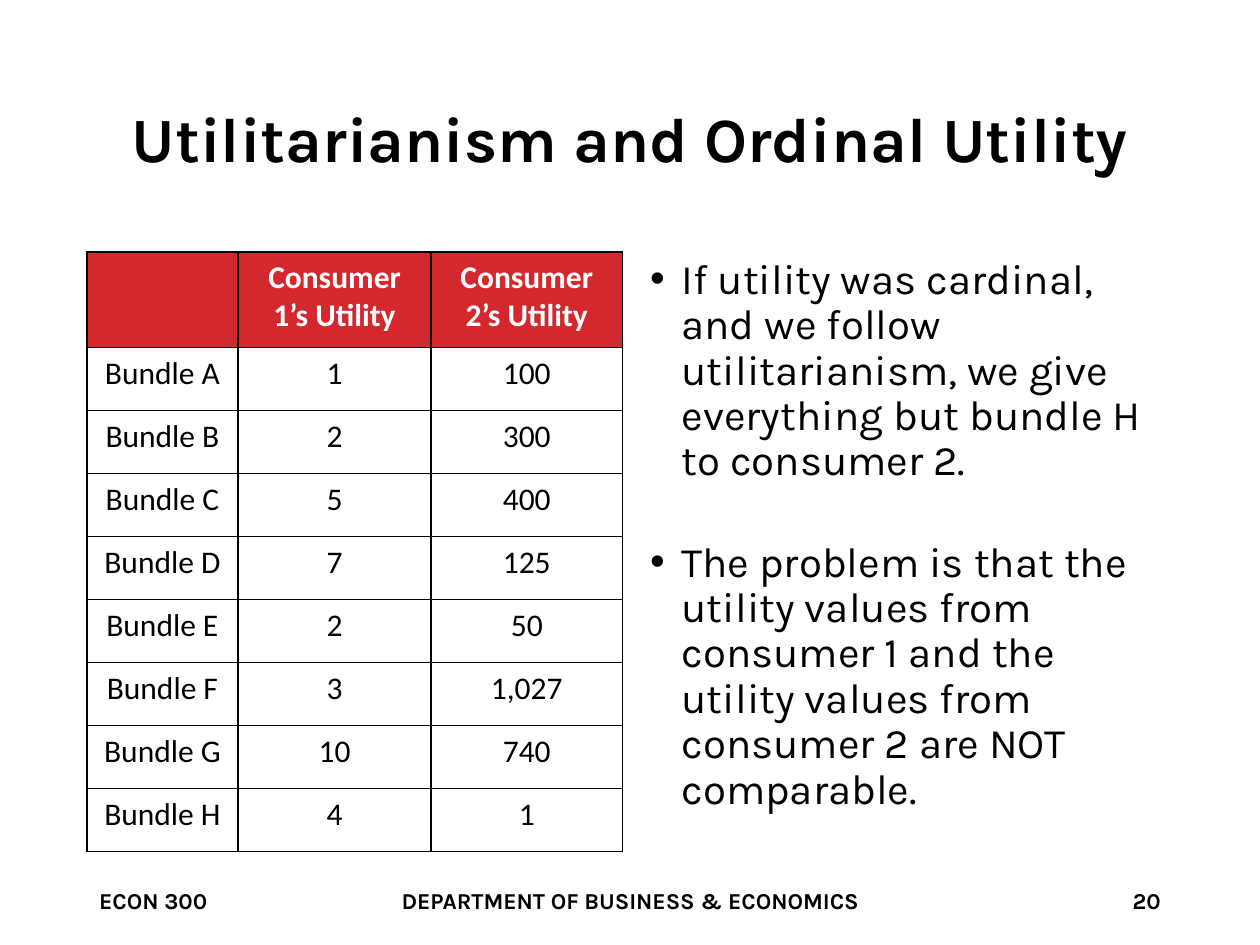
from pptx import Presentation
from pptx.dml.color import RGBColor
from pptx.enum.text import MSO_ANCHOR, MSO_AUTO_SIZE, PP_ALIGN
from pptx.oxml import parse_xml
from pptx.oxml.ns import nsdecls
from pptx.util import Cm, Pt

BLACK = RGBColor(0x00, 0x00, 0x00)
WHITE = RGBColor(0xFF, 0xFF, 0xFF)
RED = RGBColor(0xD4, 0x28, 0x2F)
LEFT, CENTER, RIGHT = PP_ALIGN.LEFT, PP_ALIGN.CENTER, PP_ALIGN.RIGHT
MIDDLE, TOP = MSO_ANCHOR.MIDDLE, MSO_ANCHOR.TOP
NO_AUTOFIT = MSO_AUTO_SIZE.NONE

MARGIN = Cm(1.75)
CONTENT_TOP = Cm(5.08)
COLUMN_WIDTH = Cm(10.8)
CONTENT_HEIGHT = Cm(12.09)


def format_paragraph(paragraph, font_name, size, color=BLACK, bold=False, alignment=LEFT):
    paragraph.alignment = alignment
    for run in paragraph.runs:
        run.font.name = font_name
        run.font.size = Pt(size)
        run.font.bold = bold
        run.font.color.rgb = color


def add_borders(cell):
    """Draw a 1 pt black line on all four sides of the cell."""
    properties = cell._tc.get_or_add_tcPr()
    for side in ("lnL", "lnR", "lnT", "lnB"):
        properties.append(parse_xml(
            f'<a:{side} {nsdecls("a")} w="{Pt(1)}"><a:solidFill>'
            f'<a:srgbClr val="{BLACK}"/></a:solidFill></a:{side}>'))


presentation = Presentation()
presentation.slide_width = Cm(25.4)
presentation.slide_height = Cm(19.05)
slide = presentation.slides.add_slide(presentation.slide_layouts[1])

# Title
title = slide.shapes.title
title.left, title.top, title.width, title.height = MARGIN, Cm(1.02), Cm(21.9), Cm(3.68)
title.text_frame.text = "Utilitarianism and Ordinal Utility"
title.text_frame.auto_size = NO_AUTOFIT
title.text_frame.vertical_anchor = MIDDLE
title_paragraph = title.text_frame.paragraphs[0]
title_paragraph.line_spacing = 0.9
format_paragraph(title_paragraph, "Karla", 36, bold=True, alignment=CENTER)

# Bullet list
POINTS = [
    ("If utility was cardinal, and we follow utilitarianism, we give everything "
     "but bundle H to consumer 2.", 10),
    ("The problem is that the utility values from consumer 1 and the utility "
     "values from consumer 2 are NOT comparable.", 32),
]
body = slide.placeholders[1]
body.left, body.top, body.width, body.height = Cm(12.85), CONTENT_TOP, COLUMN_WIDTH, CONTENT_HEIGHT
body.text_frame.text = "\n".join(text for text, _ in POINTS)
body.text_frame.auto_size = NO_AUTOFIT
body.text_frame.vertical_anchor = TOP
for paragraph, (_, space_before) in zip(body.text_frame.paragraphs, POINTS):
    paragraph.line_spacing = 0.9
    paragraph.space_before = Pt(space_before)
    format_paragraph(paragraph, "Karla", 24)
    properties = paragraph._p.get_or_add_pPr()
    properties.set("marL", str(Pt(18)))
    properties.set("indent", str(-Pt(18)))

# Footer
FOOTER = [
    ("ECON 300", 1.75, 5.72, LEFT),
    ("DEPARTMENT OF BUSINESS & ECONOMICS", 4.7, 16, CENTER),
    ("20", 17.93, 5.72, RIGHT),
]
for text, left, width, alignment in FOOTER:
    text_box = slide.shapes.add_textbox(Cm(left), Cm(17.65), Cm(width), Cm(1.02))
    text_box.text_frame.word_wrap = True
    text_box.text_frame.vertical_anchor = MIDDLE
    text_box.text_frame.text = text
    format_paragraph(text_box.text_frame.paragraphs[0], "Karla", 13, bold=True, alignment=alignment)

# Utility table
ROWS = [
    ("", "Consumer 1’s Utility", "Consumer 2’s Utility"),
    ("Bundle A", "1", "100"),
    ("Bundle B", "2", "300"),
    ("Bundle C", "5", "400"),
    ("Bundle D", "7", "125"),
    ("Bundle E", "2", "50"),
    ("Bundle F", "3", "1,027"),
    ("Bundle G", "10", "740"),
    ("Bundle H", "4", "1"),
]
table = slide.shapes.add_table(
    len(ROWS), 3, MARGIN, CONTENT_TOP, COLUMN_WIDTH, CONTENT_HEIGHT).table
table.horz_banding = False
for column, width in zip(table.columns, (3.05, 3.89, 3.86)):
    column.width = Cm(width)
for row_index, values in enumerate(ROWS):
    is_header = row_index == 0
    table.rows[row_index].height = Cm(1.93 if is_header else 1.27)
    for column_index, value in enumerate(values):
        cell = table.cell(row_index, column_index)
        cell.text_frame.text = value
        format_paragraph(cell.text_frame.paragraphs[0], "Calibri", 18,
                         WHITE if is_header else BLACK, is_header, CENTER)
        add_borders(cell)
        if is_header:
            cell.fill.solid()
            cell.fill.fore_color.rgb = RED
        else:
            cell.fill.background()

presentation.save("out.pptx")
